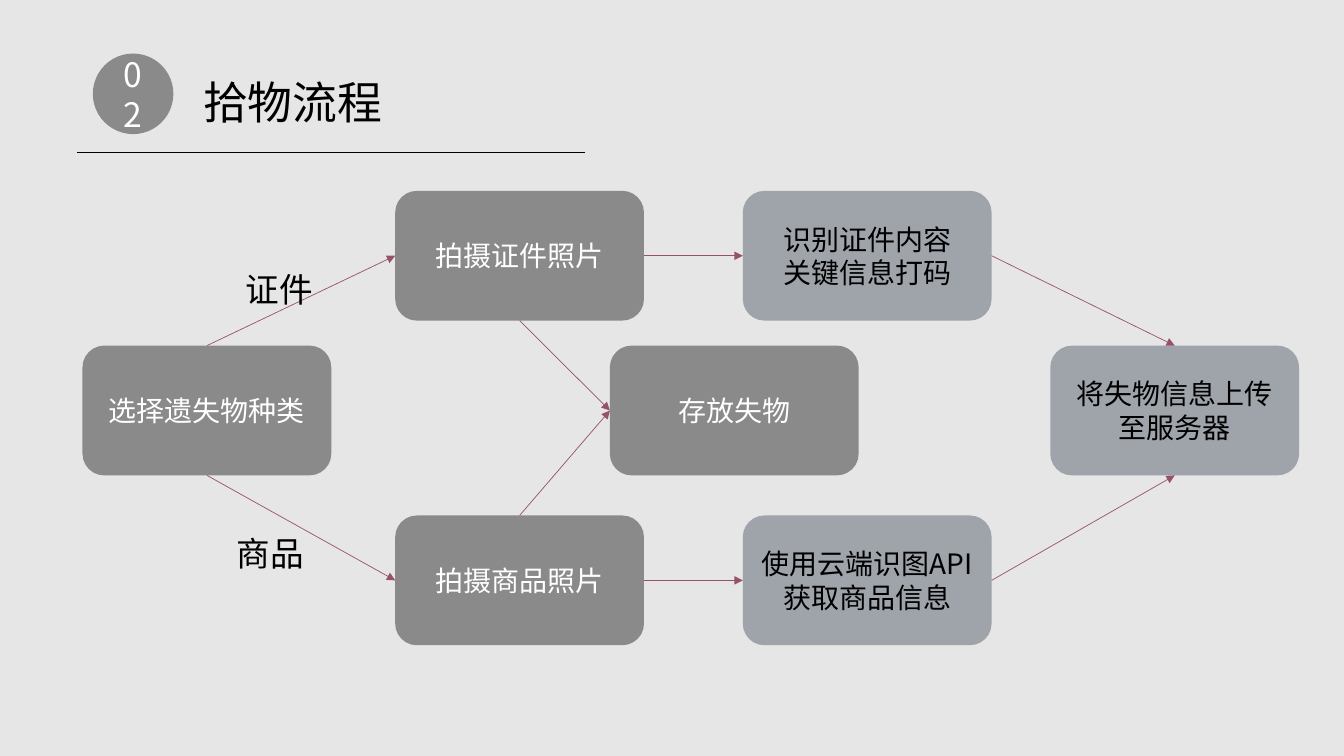
from lxml.etree import SubElement
from pptx import Presentation
from pptx.dml.color import RGBColor
from pptx.enum.shapes import MSO_CONNECTOR as Connector, MSO_SHAPE as Shape
from pptx.enum.text import MSO_ANCHOR as Anchor, MSO_AUTO_SIZE as AutoSize, PP_ALIGN as Align
from pptx.oxml.ns import qn
from pptx.util import Cm, Pt

FONT = "Noto Sans CJK SC"
BACKGROUND = RGBColor(0xE7, 0xE6, 0xE6)
BLACK = RGBColor(0x00, 0x00, 0x00)
WHITE = RGBColor(0xFF, 0xFF, 0xFF)
NAVY = RGBColor(0x33, 0x3F, 0x50)
PLUM = RGBColor(0x96, 0x52, 0x6B)

TOP, LEFT, BOTTOM, RIGHT = range(4)
BOX_WIDTH, BOX_HEIGHT = 6.27, 3.27
UPPER, MIDDLE, LOWER = 0, 3.9, 8.18

STEPS = {
    "choose": (0, MIDDLE, "选择遗失物种类", BLACK, WHITE),
    "document photo": (7.88, UPPER, "拍摄证件照片", BLACK, WHITE),
    "goods photo": (7.88, LOWER, "拍摄商品照片", BLACK, WHITE),
    "recognise document": (16.64, UPPER, "识别证件内容\n关键信息打码", NAVY, BLACK),
    "recognise goods": (16.64, LOWER, "使用云端识图API\n获取商品信息", NAVY, BLACK),
    "upload": (24.39, MIDDLE, "将失物信息上传至服务器", NAVY, BLACK),
    "store": (13.29, MIDDLE, "存放失物", BLACK, WHITE),
}
ARROWS = [
    ("choose", TOP, "document photo", LEFT),
    ("choose", BOTTOM, "goods photo", LEFT),
    ("goods photo", RIGHT, "recognise goods", LEFT),
    ("recognise goods", RIGHT, "upload", BOTTOM),
    ("document photo", RIGHT, "recognise document", LEFT),
    ("recognise document", RIGHT, "upload", TOP),
    ("document photo", BOTTOM, "store", LEFT),
    ("goods photo", TOP, "store", LEFT),
]
BRANCH_LABELS = [(3.86, 1.85, "证件"), (3.63, 8.5, "商品")]


def write_text(shape, text, size, color, align):
    shape.text_frame.text = text
    for paragraph in shape.text_frame.paragraphs:
        paragraph.alignment = align
        for run in paragraph.runs:
            run.font.name = FONT
            run.font.size = Pt(size)
            run.font.color.rgb = color
            SubElement(run.font._element, qn("a:ea"), typeface=FONT)


def add_filled_shape(slide, kind, left, top, width, height, text, size, fill, color):
    shape = slide.shapes.add_shape(kind, Cm(left), Cm(top), Cm(width), Cm(height))
    shape.shadow.inherit = False
    shape.fill.solid()
    shape.fill.fore_color.rgb = fill
    fill_color = shape._element.spPr.find(qn("a:solidFill"))[0]
    SubElement(fill_color, qn("a:alpha"), val="40000")
    shape.line.fill.background()
    shape.text_frame.word_wrap = True
    shape.text_frame.vertical_anchor = Anchor.MIDDLE
    write_text(shape, text, size, color, Align.CENTER)
    return shape


def add_label(slide, left, top, width, height, text, size):
    label = slide.shapes.add_textbox(Cm(left), Cm(top), Cm(width), Cm(height))
    label.text_frame.word_wrap = False
    label.text_frame.auto_size = AutoSize.SHAPE_TO_FIT_TEXT
    write_text(label, text, size, BLACK, Align.LEFT)


def add_line(slide, start, end, color, weight):
    line = slide.shapes.add_connector(Connector.STRAIGHT, *map(Cm, start + end))
    line.line.color.rgb = color
    line.line.width = Pt(weight)
    SubElement(line._element.spPr, qn("a:effectLst"))
    return line


def add_heading(slide, left, top, width, number, title):
    add_filled_shape(slide, Shape.OVAL, left + 0.39, top, 2.03, 2.03, number, 24, BLACK, WHITE)
    add_label(slide, left + 2.92, top + 0.41, 5.08, 1.62, title, 32)
    add_line(slide, (left, top + 2.49), (left + width, top + 2.49), BLACK, 1)


def add_flow(slide, left, top):
    boxes = {}
    for name, (x, y, text, fill, color) in STEPS.items():
        boxes[name] = add_filled_shape(
            slide, Shape.ROUNDED_RECTANGLE, left + x, top + y,
            BOX_WIDTH, BOX_HEIGHT, text, 20, fill, color)
    for source, source_side, target, target_side in ARROWS:
        arrow = add_line(slide, (0, 0), (0, 0), PLUM, 0.5)
        arrow.begin_connect(boxes[source], source_side)
        arrow.end_connect(boxes[target], target_side)
        SubElement(arrow._element.spPr.find(qn("a:ln")), qn("a:tailEnd"), type="triangle")
    for x, y, text in BRANCH_LABELS:
        add_label(slide, left + x, top + y, 2.24, 1.28, text, 24)


def main():
    presentation = Presentation()
    presentation.slide_width = Cm(33.87)
    presentation.slide_height = Cm(19.05)
    slide = presentation.slides.add_slide(presentation.slide_layouts[6])
    slide.background.fill.solid()
    slide.background.fill.fore_color.rgb = BACKGROUND
    add_heading(slide, 1.95, 1.35, 12.8, "02", "拾物流程")
    add_flow(slide, 2.08, 4.81)
    presentation.save("out.pptx")


if __name__ == "__main__":
    main()
